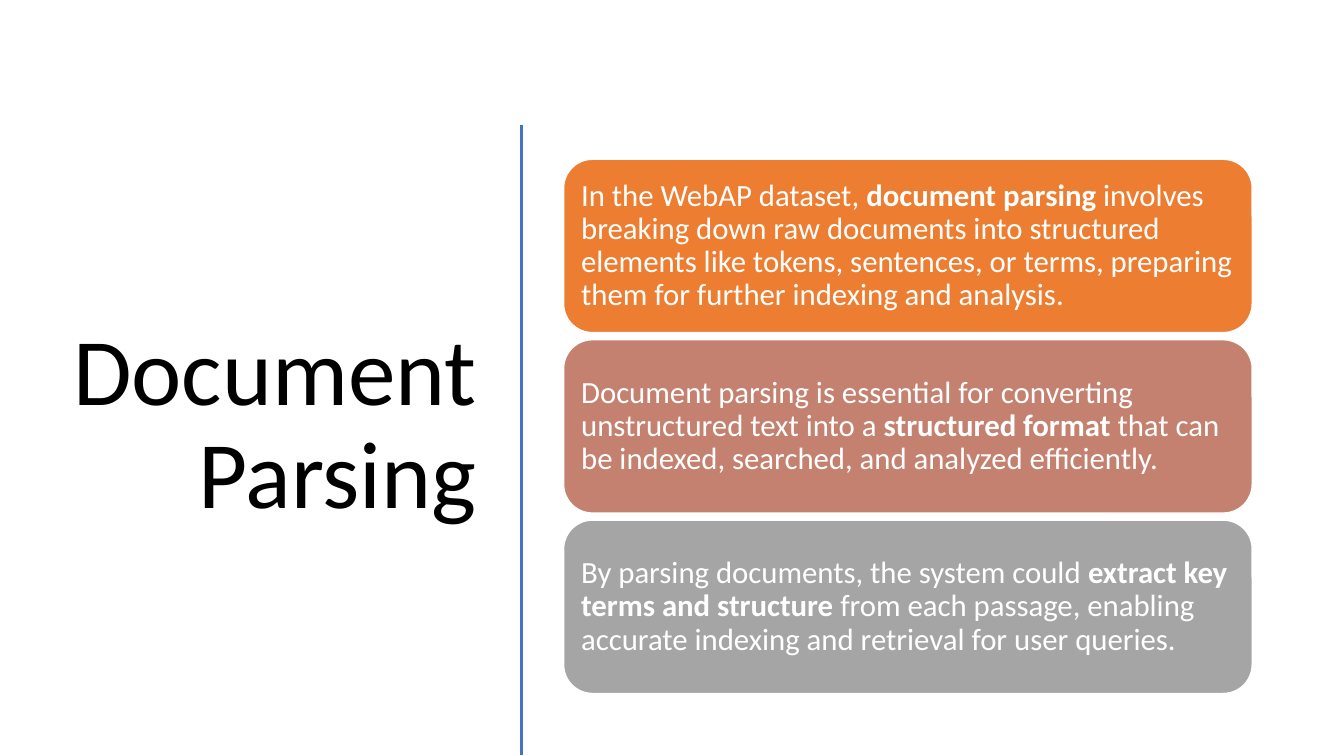
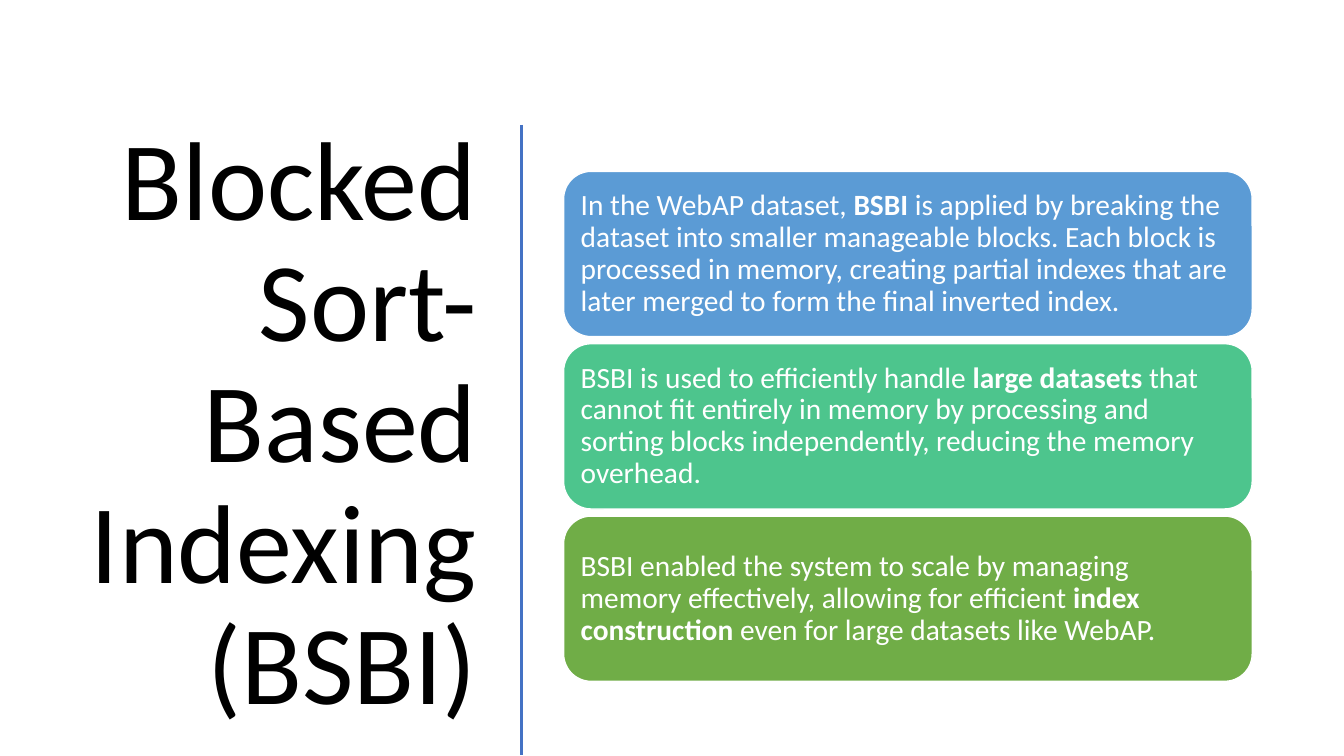
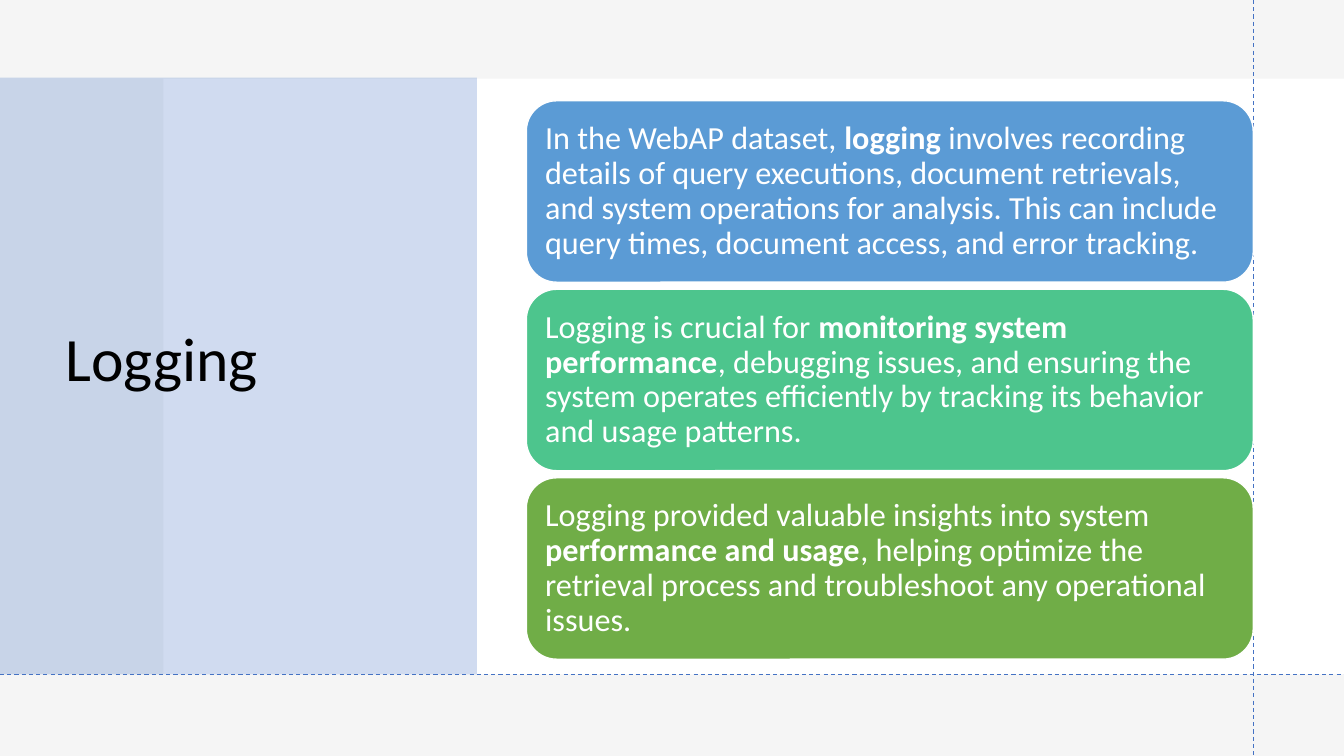
"""Build three slides on parsing, indexing and logging."""
from lxml import etree
from pptx import Presentation
from pptx.dml.color import RGBColor
from pptx.enum import dml, shapes, text
from pptx.oxml import ns
from pptx.util import Inches, Pt

WHITE = RGBColor(0xFF, 0xFF, 0xFF)
BLACK = RGBColor(0, 0, 0)
PALE = RGBColor(0xF5, 0xF5, 0xF5)
BLUE = RGBColor(0x44, 0x72, 0xC4)
SKY = RGBColor(0x5B, 0x9B, 0xD5)
MINT = RGBColor(0x4D, 0xC5, 0x8D)
GREEN = RGBColor(0x70, 0xAD, 0x47)
ORANGE = RGBColor(0xED, 0x7D, 0x31)
ROSE = RGBColor(0xC4, 0x81, 0x70)
GRAY = RGBColor(0xA5, 0xA5, 0xA5)
COOL = (SKY, MINT, GREEN)
WARM = (ORANGE, ROSE, GRAY)
WIDE, HIGH = 13.33, 7.5


class Deck:
    """Hold the shared style and the current slide."""

    font = "Calibri"
    gap = 0.07

    def __init__(self):
        self.prs = Presentation()
        self.prs.slide_width = Inches(WIDE)
        self.prs.slide_height = Inches(HIGH)

    def page(self, back=WHITE):
        """Start a slide with a plain background."""
        self.slide = self.prs.slides.add_slide(self.prs.slide_layouts[5])
        fill = self.slide.background.fill
        fill.solid()
        fill.fore_color.rgb = back

    def label(self, shape, words, size=22, color=WHITE, align="LEFT", inset=0.1):
        """Fill a shape with text; parts between asterisks are bold."""
        frame = shape.text_frame
        frame.word_wrap = True
        frame.auto_size = text.MSO_AUTO_SIZE.NONE
        frame.vertical_anchor = text.MSO_ANCHOR.MIDDLE
        frame.margin_left = frame.margin_right = Inches(inset)
        frame.margin_top = frame.margin_bottom = Inches(0.05)
        para = frame.paragraphs[0]
        para.alignment = getattr(text.PP_ALIGN, align)
        para.line_spacing = 0.9
        for i, part in enumerate(words.split("*")):
            run = para.add_run()
            run.text = part
            run.font.name = self.font
            run.font.size = Pt(size)
            run.font.bold = i % 2 == 1
            run.font.color.rgb = color

    def title(self, words, left, top, width, height, **style):
        """Place the title in front of the shapes drawn so far."""
        head = self.slide.shapes.title
        head.left, head.top = Inches(left), Inches(top)
        head.width, head.height = Inches(width), Inches(height)
        self.slide.shapes.element.append(head.element)
        self.label(head, words, color=BLACK, **style)

    def box(self, left, top, width, height, fill, kind=shapes.MSO_SHAPE.RECTANGLE,
            alpha=None, edge=None):
        """Draw a filled shape, see-through if alpha is given."""
        shape = self.slide.shapes.add_shape(
            kind, Inches(left), Inches(top), Inches(width), Inches(height))
        shape.shadow.inherit = False
        shape.fill.solid()
        shape.fill.fore_color.rgb = fill
        if alpha:
            tint = shape.element.spPr.find(".//" + ns.qn("a:srgbClr"))
            etree.SubElement(tint, ns.qn("a:alpha"), val=str(alpha * 1000))
        if edge is None:
            shape.line.fill.background()
        else:
            shape.line.color.rgb = edge
            shape.line.width = Pt(1)
        return shape

    def rule(self, x1, y1, x2, y2, weight, dash=False):
        """Draw a straight blue line."""
        line = self.slide.shapes.add_connector(
            shapes.MSO_CONNECTOR.STRAIGHT, Inches(x1), Inches(y1), Inches(x2), Inches(y2))
        line.line.color.rgb = BLUE
        line.line.width = Pt(weight)
        if dash:
            line.line.dash_style = dml.MSO_LINE.DASH
        etree.SubElement(line.element.spPr, ns.qn("a:effectLst"))

    def cards(self, items, fills, left, top, width, height, size, inset=0.09):
        """Stack rounded cards with equal gaps."""
        for i, (words, fill) in enumerate(zip(items, fills)):
            y = top + i * (height + self.gap)
            card = self.box(left, y, width, height, fill,
                            kind=shapes.MSO_SHAPE.ROUNDED_RECTANGLE, edge=WHITE)
            self.label(card, words, size=size, inset=inset)

    def split(self, words, size):
        """Lay out a right-aligned title beside an upright rule."""
        self.page()
        self.title(words, 0.52, 1.17, 4.31, 6.11, size=size, align="RIGHT")
        self.rule(5.17, 1.24, 5.17, 7.49, 2)


def main():
    """Build and save the slides."""
    deck = Deck()

    deck.split("Document Parsing", 68)
    deck.cards([
        "In the WebAP dataset, *document parsing* involves breaking down raw documents into "
        "structured elements like tokens, sentences, or terms, preparing them for further "
        "indexing and analysis.",
        "Document parsing is essential for converting unstructured text into a "
        "*structured format* that can be indexed, searched, and analyzed efficiently.",
        "By parsing documents, the system could *extract key terms and structure* from each "
        "passage, enabling accurate indexing and retrieval for user queries.",
    ], WARM, 5.59, 1.58, 6.83, 1.72, 22)

    deck.split("Blocked Sort-Based Indexing (BSBI)", 80)
    deck.cards([
        "In the WebAP dataset, *BSBI* is applied by breaking the dataset into smaller "
        "manageable blocks. Each block is processed in memory, creating partial indexes that "
        "are later merged to form the final inverted index.",
        "BSBI is used to efficiently handle *large datasets* that cannot fit entirely in "
        "memory by processing and sorting blocks independently, reducing the memory overhead.",
        "BSBI enabled the system to scale by managing memory effectively, allowing for "
        "efficient *index construction* even for large datasets like WebAP.",
    ], COOL, 5.59, 1.7, 6.83, 1.64, 21)

    deck.page(PALE)
    deck.box(1.62, 0.78, WIDE - 1.62, 5.91, WHITE)
    deck.box(0, 0.77, 4.73, 5.92, BLUE, alpha=25)
    deck.title("Logging", 0.55, 0.74, 3.95, 5.69, size=44)
    deck.rule(12.43, 0, 12.43, HIGH, 0.75, dash=True)
    deck.rule(0, 6.69, WIDE, 6.69, 0.75, dash=True)
    deck.cards([
        "In the WebAP dataset, *logging* involves recording details of query executions, "
        "document retrievals, and system operations for analysis. This can include query "
        "times, document access, and error tracking.",
        "Logging is crucial for *monitoring system performance*, debugging issues, and "
        "ensuring the system operates efficiently by tracking its behavior and usage patterns.",
        "Logging provided valuable insights into system *performance and usage*, helping "
        "optimize the retrieval process and troubleshoot any operational issues.",
    ], COOL, 5.22, 1, 7.21, 1.8, 23, inset=0.1)

    deck.prs.save("out.pptx")


if __name__ == "__main__":
    main()
